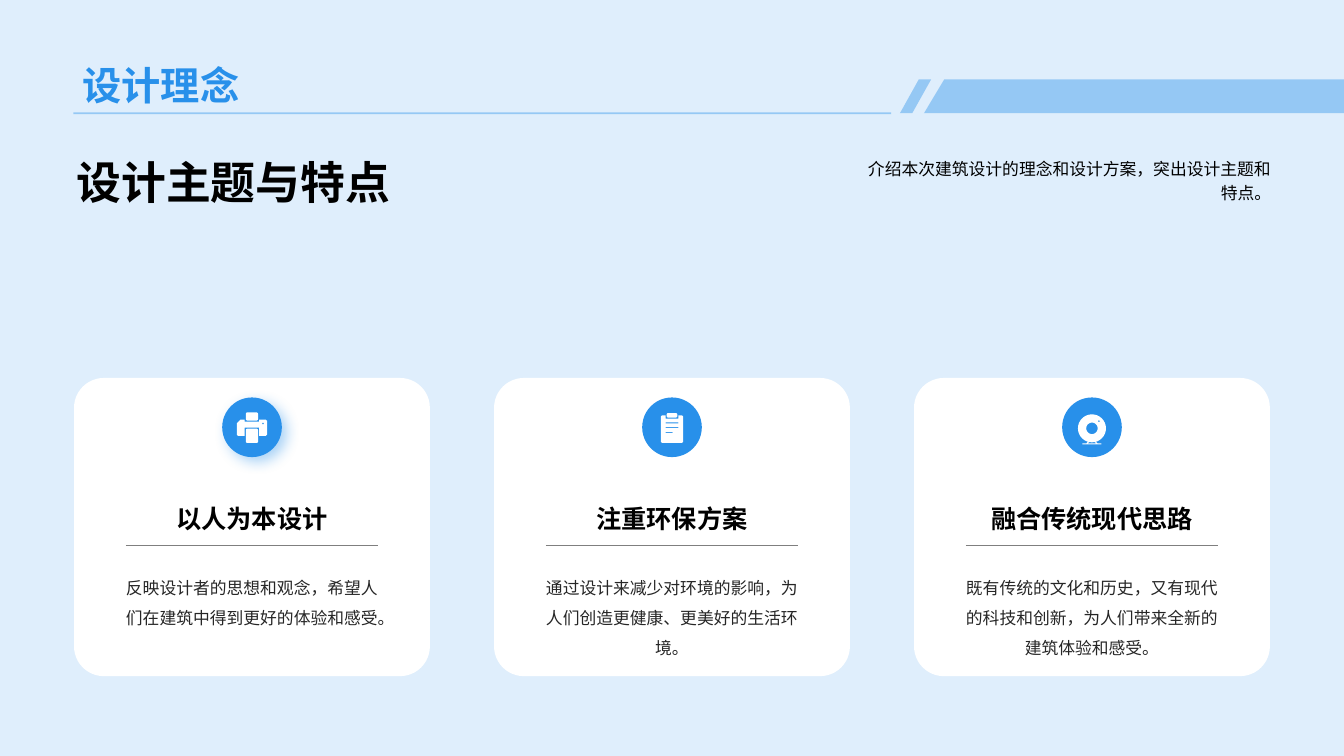
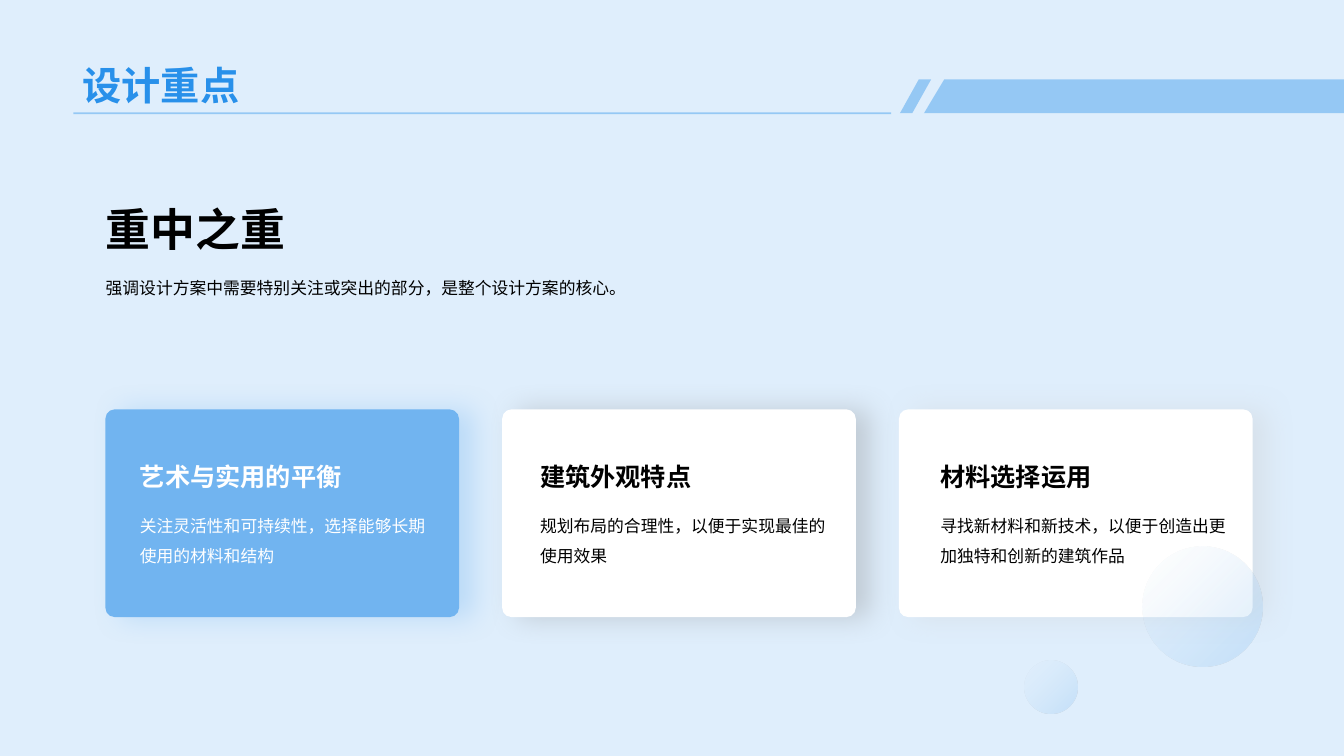
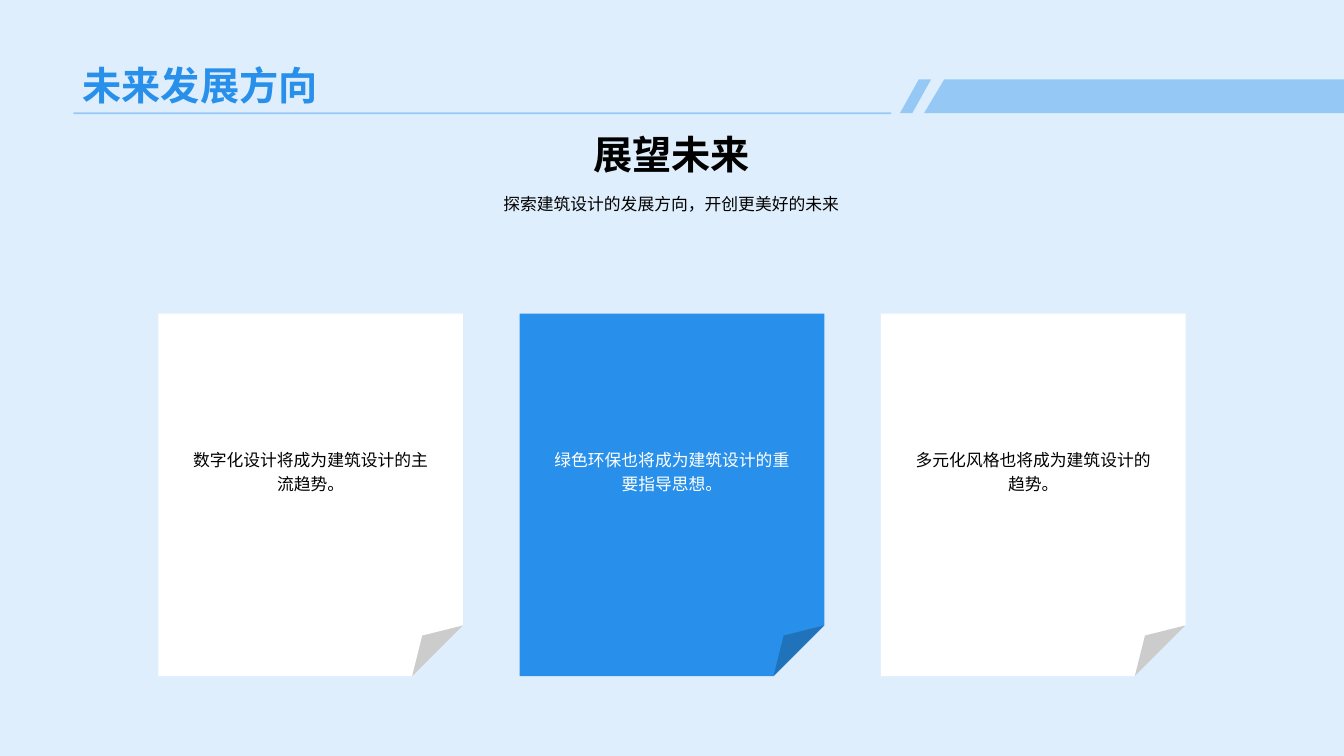
from dataclasses import dataclass
from math import cos, pi, sin
from typing import NamedTuple

from lxml import etree
from pptx import Presentation
from pptx import util as u
from pptx.dml.color import RGBColor
from pptx.enum import shapes as sh, text as tx
from pptx.oxml.ns import qn

Pt = u.Pt
Preset = sh.MSO_SHAPE
Align = tx.PP_ALIGN
Anchor = tx.MSO_ANCHOR
Contour = list[tuple[float, float]]


@dataclass(frozen=True)
class Theme:
    font: str = "Arial"
    backdrop: str = "DFEEFC"
    accent: str = "2890EA"
    soft: str = "71B4F0"
    white: str = "FFFFFF"
    black: str = "000000"
    body: str = "262626"
    rule: str = "7F7F7F"
    headline_size: int = 32
    title_size: int = 28
    card_size: int = 18
    body_size: int = 12


THEME = Theme()


class Box(NamedTuple):
    left: float
    top: float
    width: float
    height: float

    def lengths(self) -> list:
        return [Pt(value) for value in self]


class Style(NamedTuple):
    size: int
    color: str = THEME.black
    bold: bool = False
    align: int = Align.LEFT
    spacing: float = 1.0
    anchor: int = Anchor.TOP


class Shadow(NamedTuple):
    color: str
    opacity: int
    blur: float
    distance: float
    angle: int


class ConceptCard(NamedTuple):
    heading: str
    detail: str
    icon: list[Contour]
    shadow: Shadow | None = None


class FocusCard(NamedTuple):
    heading: str
    detail: str
    fill: str
    ink: str
    shadow_color: str


class Note(NamedTuple):
    statement: str
    fill: str
    ink: str


# Formatting helpers
def rgb(color: str) -> RGBColor:
    return RGBColor.from_string(color)


def add_color(parent, color: str, opacity: int) -> None:
    node = etree.SubElement(parent, qn("a:srgbClr"), val=color)
    etree.SubElement(node, qn("a:alpha"), val=str(opacity * 1000))


def set_opacity(shape, opacity: int) -> None:
    for node in shape._element.spPr.iter(qn("a:srgbClr")):
        etree.SubElement(node, qn("a:alpha"), val=str(opacity * 1000))


def paint(shape, color: str, shadow: Shadow | None = None) -> None:
    shape.fill.solid()
    shape.fill.fore_color.rgb = rgb(color)
    shape.line.fill.background()
    shape.shadow.inherit = False
    if shadow:
        effects = shape._element.spPr.find(qn("a:effectLst"))
        outer = etree.SubElement(
            effects, qn("a:outerShdw"), blurRad=str(Pt(shadow.blur)),
            dist=str(Pt(shadow.distance)), dir=str(shadow.angle * 60000),
            algn="ctr", rotWithShape="0")
        add_color(outer, shadow.color, shadow.opacity)


def write(frame, content: str, style: Style) -> None:
    frame.word_wrap = True
    frame.vertical_anchor = style.anchor
    paragraph = frame.paragraphs[0]
    paragraph.alignment = style.align
    paragraph.line_spacing = style.spacing
    run = paragraph.add_run()
    run.text = content
    run.font.name = THEME.font
    run.font.size = Pt(style.size)
    run.font.bold = style.bold
    run.font.color.rgb = rgb(style.color)
    etree.SubElement(run.font._element, qn("a:ea"), typeface=THEME.font)


# Drawing helpers
def add_text(slide, box: Box, content: str, style: Style) -> None:
    write(slide.shapes.add_textbox(*box.lengths()).text_frame, content, style)


def add_preset(slide, preset: int, box: Box, color: str,
               adjust: float | None = None, shadow: Shadow | None = None):
    shape = slide.shapes.add_shape(preset, *box.lengths())
    if adjust is not None:
        shape.adjustments[0] = adjust
    paint(shape, color, shadow)
    return shape


def add_rule(slide, left: float, right: float, y: float, color: str, width: float):
    rule = slide.shapes.add_connector(
        sh.MSO_CONNECTOR.STRAIGHT, Pt(left), Pt(y), Pt(right), Pt(y))
    rule.line.color.rgb = rgb(color)
    rule.line.width = Pt(width)
    etree.SubElement(rule._element.spPr, qn("a:effectLst"))
    return rule


def add_outline(slide, contours: list[Contour], color: str,
                x: float = 0, y: float = 0):
    """Draw closed contours as one shape, with (x, y) as their origin."""
    placed = [[(Pt(x + dx), Pt(y + dy)) for dx, dy in contour] for contour in contours]
    builder = slide.shapes.build_freeform(*placed[0][0], scale=1.0)
    for index, points in enumerate(placed):
        if index:
            builder.move_to(*points[0])
        builder.add_line_segments(points[1:], close=True)
    shape = builder.convert_to_shape()
    paint(shape, color)
    return shape


def add_bubble(slide, box: Box) -> None:
    bubble = add_preset(slide, Preset.OVAL, box, THEME.soft)
    bubble.rotation = 285
    properties = bubble._element.spPr
    gradient = etree.Element(qn("a:gradFill"), rotWithShape="1")
    stops = etree.SubElement(gradient, qn("a:gsLst"))
    for position, color, opacity in ((0, "E3F0FC", 0), (60, "AAD2F6", 25), (100, THEME.soft, 30)):
        stop = etree.SubElement(stops, qn("a:gs"), pos=str(position * 1000))
        add_color(stop, color, opacity)
    etree.SubElement(gradient, qn("a:lin"), ang=str(120 * 60000), scaled="0")
    properties.replace(properties.find(qn("a:solidFill")), gradient)


# Icon contours, in points from the badge centre
def rounded(left: float, top: float, width: float, height: float, radius: float) -> Contour:
    corners = ((left + width - radius, top + height - radius),
               (left + radius, top + height - radius),
               (left + radius, top + radius),
               (left + width - radius, top + radius))
    steps = 8
    return [(cx + radius * cos(angle), cy + radius * sin(angle))
            for quarter, (cx, cy) in enumerate(corners)
            for angle in ((quarter + step / steps) * pi / 2 for step in range(steps + 1))]


def circle(x: float, y: float, radius: float) -> Contour:
    return rounded(x - radius, y - radius, 2 * radius, 2 * radius, radius)


def rectangle(left: float, top: float, width: float, height: float) -> Contour:
    return [(left, top), (left + width, top),
            (left + width, top + height), (left, top + height)]


def mirrored(contour: Contour) -> Contour:
    return [(-x, y) for x, y in contour]


PRINTER = [
    [(-10.8, -2.8), (-8.2, -5.4), (-5.2, -5.4), (-5.2, -4), (5.2, -4), (5.2, -5.4),
     (10, -5.4), (10.8, -4.6), (10.8, 5.3), (10, 6.1), (5.2, 6.1), (5.2, 0.3),
     (-5.2, 0.3), (-5.2, 6.1), (-10, 6.1), (-10.8, 5.3)],
    circle(7.9, -2.7, 0.6),
    rounded(-4.4, -10.6, 8.8, 5.8, 1.2),
    rounded(-4.4, 1, 8.8, 10.2, 1.2),
]
CLIPBOARD = [
    [(-7.9, -7.7), (-7.1, -8.5), (-4.6, -8.5), (-4.6, -6.2), (4.6, -6.2), (4.6, -8.5),
     (7.1, -8.5), (7.9, -7.7), (7.9, 10.4), (7.1, 11.2), (-7.1, 11.2), (-7.9, 10.4)],
    rounded(-3.8, -10.2, 7.6, 3.3, 1.2),
    *(rectangle(-4.6, y, width, 0.7) for y, width in ((-3.4, 9.2), (0, 9.2), (3.4, 5))),
]
CAMERA_LEG = [(-2.9, 10.4), (-2.1, 10.6), (-3, 11.6), (-4, 11.6)]
CAMERA = [
    circle(0, 0.8, 10), circle(0, 0.8, 4.1), circle(5, -4.3, 0.6),
    CAMERA_LEG, mirrored(CAMERA_LEG), rectangle(-6.8, 11.6, 13.6, 0.7),
]


# Shared parts: backdrop, band and title
def add_base_slide(deck, title: str):
    slide = deck.slides.add_slide(deck.slide_layouts[5])
    slide.background.fill.solid()
    slide.background.fill.fore_color.rgb = rgb(THEME.backdrop)

    band = add_outline(
        slide, [[(674.5, 56.7), (960, 56.7), (960, 80.9), (660, 80.9)]], THEME.accent)
    slash = add_preset(slide, Preset.PARALLELOGRAM, Box(642.8, 56.7, 22.3, 24.2),
                       THEME.accent, 0.605)
    underline = add_rule(slide, 52.4, 636.5, 80.9, THEME.accent, 1.25)
    for part in (band, slash, underline):
        set_opacity(part, 40)

    heading = slide.shapes.title
    heading.left, heading.top, heading.width, heading.height = Box(51.8, 0, 855.4, 80.9).lengths()
    heading.text_frame.auto_size = tx.MSO_AUTO_SIZE.NONE
    write(heading.text_frame, title,
          Style(THEME.title_size, THEME.accent, True, anchor=Anchor.BOTTOM))
    return slide


# Slide 1: design concept
def add_concept_slide(deck) -> None:
    slide = add_base_slide(deck, "设计理念")
    add_text(slide, Box(47.5, 106.6, 400, 46), "设计主题与特点",
             Style(THEME.headline_size, bold=True))
    add_text(slide, Box(602.6, 106.6, 312.5, 40),
             "介绍本次建筑设计的理念和设计方案，突出设计主题和特点。",
             Style(THEME.body_size, align=Align.RIGHT, spacing=1.2))
    cards = (
        ConceptCard("以人为本设计", "反映设计者的思想和观念，希望人们在建筑中得到更好的体验和感受。",
                    PRINTER, Shadow(THEME.accent, 40, 10, 5, 45)),
        ConceptCard("注重环保方案", "通过设计来减少对环境的影响，为人们创造更健康、更美好的生活环境。",
                    CLIPBOARD),
        ConceptCard("融合传统现代思路", "既有传统的文化和历史，又有现代的科技和创新，为人们带来全新的建筑体验和感受。",
                    CAMERA),
    )
    heading = Style(THEME.card_size, bold=True, align=Align.CENTER, anchor=Anchor.BOTTOM)
    detail = Style(THEME.body_size, THEME.body, align=Align.CENTER, spacing=1.5)
    badge, badge_y = 42.6, 305.2
    for index, card in enumerate(cards):
        center = 180 + 300 * index
        add_preset(slide, Preset.ROUNDED_RECTANGLE, Box(center - 127.1, 270, 254.2, 213),
                   THEME.white, 0.1)
        add_preset(slide, Preset.ROUNDED_RECTANGLE,
                   Box(center - badge / 2, badge_y - badge / 2, badge, badge),
                   THEME.accent, 0.5, card.shadow)
        add_outline(slide, card.icon, THEME.white, center, badge_y)
        add_text(slide, Box(center - 100, 355.6, 200, 29), card.heading, heading)
        add_text(slide, Box(center - 100, 401.8, 200, 70), card.detail, detail)
        add_rule(slide, center - 90, center + 90, 389.6, THEME.rule, 0.75)


# Slide 2: design focus
def add_focus_slide(deck) -> None:
    slide = add_base_slide(deck, "设计重点")
    add_text(slide, Box(68.4, 140.4, 476.6, 46), "重中之重",
             Style(THEME.headline_size, bold=True))
    add_text(slide, Box(68.4, 192.2, 476.6, 40),
             "强调设计方案中需要特别关注或突出的部分，是整个设计方案的核心。",
             Style(THEME.body_size, spacing=1.2))
    cards = (
        FocusCard("艺术与实用的平衡", "关注灵活性和可持续性，选择能够长期使用的材料和结构",
                  THEME.soft, THEME.white, THEME.soft),
        FocusCard("建筑外观特点", "规划布局的合理性，以便于实现最佳的使用效果",
                  THEME.white, THEME.black, "828282"),
        FocusCard("材料选择运用", "寻找新材料和新技术，以便于创造出更加独特和创新的建筑作品",
                  THEME.white, THEME.black, "C9C9C9"),
    )
    for index, card in enumerate(cards):
        text_left = 92.8 + 285.9 * index
        add_preset(slide, Preset.ROUNDED_RECTANGLE,
                   Box(75.3 + 283.4 * index, 292.4, 252.6, 148.4),
                   card.fill, 0.045, Shadow(card.shadow_color, 32, 20, 10, 0))
        add_text(slide, Box(text_left, 357.8, 219.6, 48), card.detail,
                 Style(THEME.body_size, card.ink, spacing=1.5))
        add_text(slide, Box(text_left, 319.7, 219.6, 35.3), card.heading,
                 Style(THEME.card_size, card.ink, True, anchor=Anchor.BOTTOM))
    for left, top, diameter in ((816.5, 390.8, 85.6), (731.9, 472, 38)):
        add_bubble(slide, Box(left, top, diameter, diameter))


# Slide 3: future directions
def add_future_slide(deck) -> None:
    slide = add_base_slide(deck, "未来发展方向")
    notes = (
        Note("数字化设计将成为建筑设计的主流趋势。", THEME.white, THEME.black),
        Note("绿色环保也将成为建筑设计的重要指导思想。", THEME.accent, THEME.white),
        Note("多元化风格也将成为建筑设计的趋势。", THEME.white, THEME.black),
    )
    for index, note in enumerate(notes):
        sheet = add_preset(slide, Preset.FOLDED_CORNER,
                           Box(113.1 + 258.1 * index, 224, 217.6, 259), note.fill)
        frame = sheet.text_frame
        frame.margin_left = frame.margin_right = Pt(19.4)
        write(frame, note.statement,
              Style(THEME.body_size, note.ink, align=Align.CENTER, spacing=1.2,
                    anchor=Anchor.MIDDLE))
    add_text(slide, Box(51.8, 89.3, 855.4, 41), "展望未来",
             Style(THEME.title_size, bold=True, align=Align.CENTER, anchor=Anchor.BOTTOM))
    add_text(slide, Box(51.8, 131.8, 855.4, 23), "探索建筑设计的发展方向，开创更美好的未来",
             Style(THEME.body_size, align=Align.CENTER, spacing=1.2))


def main() -> None:
    deck = Presentation()
    deck.slide_width, deck.slide_height = Pt(960), Pt(540)
    add_concept_slide(deck)
    add_focus_slide(deck)
    add_future_slide(deck)
    deck.save("out.pptx")


if __name__ == "__main__":
    main()
